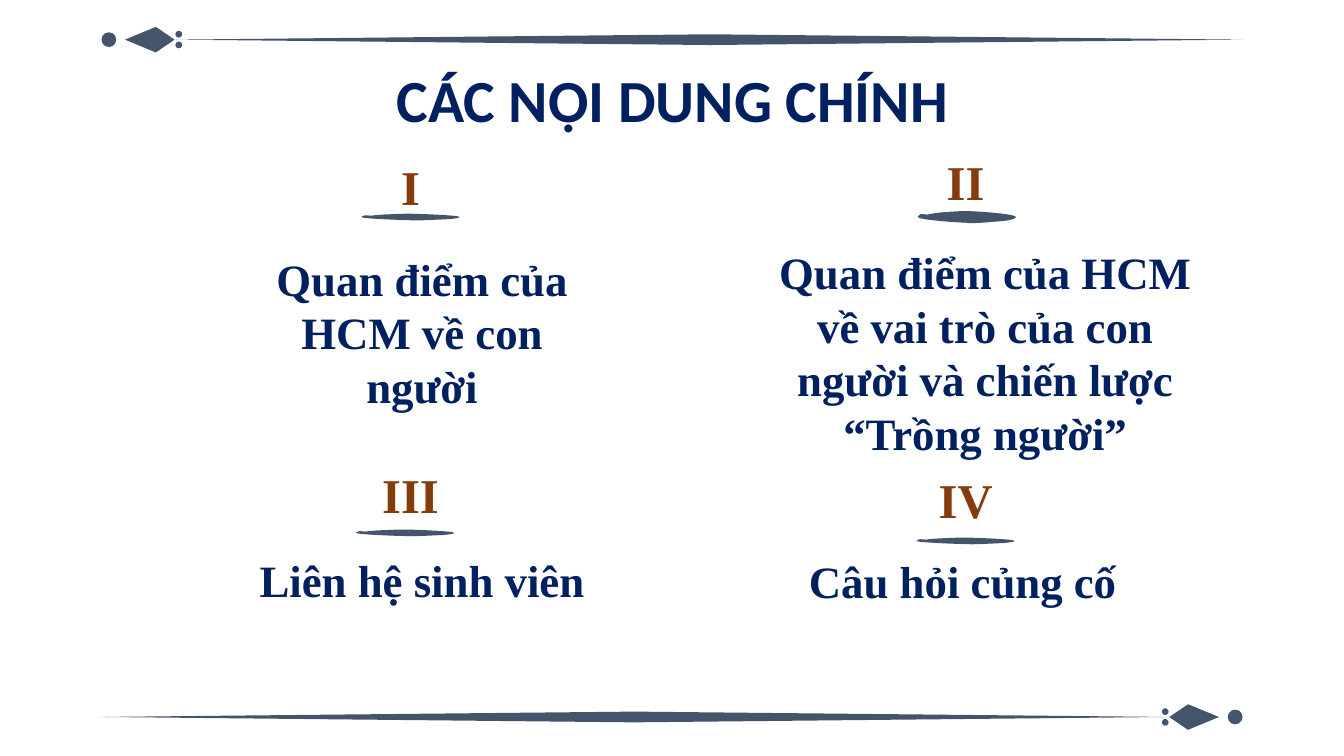
from pptx import Presentation
from pptx.dml.color import RGBColor
from pptx.enum.shapes import MSO_SHAPE
from pptx.enum.text import MSO_ANCHOR, MSO_AUTO_SIZE, PP_ALIGN
from pptx.util import Inches, Pt

OVAL, DIAMOND = MSO_SHAPE.OVAL, MSO_SHAPE.DIAMOND
TOP, MIDDLE = MSO_ANCHOR.TOP, MSO_ANCHOR.MIDDLE
LEFT, CENTER = PP_ALIGN.LEFT, PP_ALIGN.CENTER
GROW = MSO_AUTO_SIZE.SHAPE_TO_FIT_TEXT

SLATE = "44546A"
TITLE = {"name": "Calibri", "size": Pt(32), "bold": True, "color": "002060"}
NUMERAL = {"name": "Times New Roman", "size": Pt(26), "bold": True, "color": "843C0B"}
TOPIC = {"name": "Times New Roman", "size": Pt(24), "bold": True, "color": "002060"}

BRUSH_START = (0.55, 1)
BRUSH_CURVES = [
    ((0.53, 1), (0.51, 1), (0.49, 0.97)),
    ((0.45, 0.97), (0, 0.75), (0, 0.5)),
    ((0.01, 0.3), (0.03, 0.25), (0.04, 0.25)),
    ((0.05, 0.25), (0.08, 0.28), (0.1, 0.3)),
    ((0.14, 0.2), (0.19, 0.18), (0.23, 0.12)),
    ((0.32, 0.08), (0.41, 0), (0.5, 0)),
    ((0.53, 0), (1, 0.2), (1, 0.5)),
    ((1, 0.8), (0.78, 0.88), (0.77, 0.89)),
    ((0.69, 0.95), (0.62, 1), (0.55, 1)),
]

SECTIONS = [
    ("I", (2.69, 1.25, 0.73, 0.32), (2.69, 1.59, 0.73, 0.05),
     "Quan điểm của HCM về con người", (1.79, 1.82, 2.7, 1.31), CENTER),
    ("II", (6.82, 1.16, 0.73, 0.43), (6.83, 1.57, 0.73, 0.09),
     "Quan điểm của HCM về vai trò của con người và chiến lược “Trồng người”",
     (5.56, 1.77, 3.54, 1.72), CENTER),
    ("III", (2.69, 3.49, 0.73, 0.43), (2.65, 3.94, 0.73, 0.05),
     "Liên hệ sinh viên", (1.69, 4.06, 2.9, 0.5), CENTER),
    ("IV", (6.82, 3.53, 0.73, 0.43), (6.82, 4, 0.73, 0.05),
     "Câu hỏi củng cố", (5.92, 4.07, 2.83, 0.5), LEFT),
]


def rgb(color):
    return RGBColor.from_string(color)


def paint(shape):
    shape.shadow.inherit = False
    shape.fill.solid()
    shape.fill.fore_color.rgb = rgb(SLATE)
    shape.line.fill.background()


def add_preset(slide, kind, box):
    paint(slide.shapes.add_shape(kind, *map(Inches, box)))


def add_outline(slide, points):
    corners = [(Inches(x), Inches(y)) for x, y in points]
    builder = slide.shapes.build_freeform(*corners[0])
    builder.add_line_segments(corners[1:])
    paint(builder.convert_to_shape())


def add_text(slide, box, text, style, alignment=CENTER, anchor=TOP, margin=None, spacing=None):
    shape = slide.shapes.add_textbox(*map(Inches, box))
    frame = shape.text_frame
    settings = {"word_wrap": True, "vertical_anchor": anchor}
    if margin is None:
        settings["auto_size"] = GROW
    else:
        for side in ("left", "top", "right", "bottom"):
            settings[f"margin_{side}"] = Inches(margin)
    for name, value in settings.items():
        setattr(frame, name, value)
    paragraph = frame.paragraphs[0]
    paragraph.alignment = alignment
    paragraph.line_spacing = spacing
    run = paragraph.add_run()
    run.text = text
    for name, value in style.items():
        if name == "color":
            run.font.color.rgb = rgb(value)
        else:
            setattr(run.font, name, value)


def add_flourish(slide, box, mirrored=False):
    left, top, width, height = box
    middle = top + height / 2

    def across(offset):
        return left + width - offset if mirrored else left + offset

    kite = [(0.41, top), (0.18, middle), (0.41, top + height), (0.55, middle)]
    add_outline(slide, [(across(x), y) for x, y in kite])
    for x, y, size in [(0.06, 0, 0.11), (0.58, 0.04, 0.05), (0.58, -0.04, 0.05)]:
        add_preset(slide, OVAL, (across(x) - size / 2, middle + y - size / 2, size, size))
    length, thickness = 7.94, 0.08
    start = left if mirrored else left + width - length
    add_preset(slide, DIAMOND, (start, middle - thickness / 2, length, thickness))


def add_brush_stroke(slide, box):
    left, top, width, height = box
    steps = 8
    points = [BRUSH_START]
    for first, second, end in BRUSH_CURVES:
        start = points[-1]
        for step in range(1, steps + 1):
            t = step / steps
            weights = ((1 - t) ** 3, 3 * t * (1 - t) ** 2, 3 * t * t * (1 - t), t ** 3)
            controls = (start, first, second, end)
            points.append(tuple(
                sum(weight * control[axis] for weight, control in zip(weights, controls))
                for axis in (0, 1)))
    add_outline(slide, [(left + x * width, top + y * height) for x, y in points])


def add_section(slide, numeral, numeral_box, stroke_box, topic, topic_box, alignment):
    add_text(slide, numeral_box, numeral, NUMERAL, anchor=MIDDLE, margin=0.04, spacing=0.9)
    add_brush_stroke(slide, stroke_box)
    add_text(slide, topic_box, topic, TOPIC, alignment)


def main():
    presentation = Presentation()
    presentation.slide_width = Inches(10)
    presentation.slide_height = Inches(10 * 9 / 16)
    slide = presentation.slides.add_slide(presentation.slide_layouts[6])
    add_flourish(slide, (0.75, 0.2, 8.5, 0.19))
    add_flourish(slide, (0.75, 5.24, 8.5, 0.19), mirrored=True)
    add_text(slide, (0.79, 0.49, 8.43, 0.63), "CÁC NỘI DUNG CHÍNH", TITLE, margin=0.04, spacing=0.9)
    for section in SECTIONS:
        add_section(slide, *section)
    presentation.save("out.pptx")


if __name__ == "__main__":
    main()
